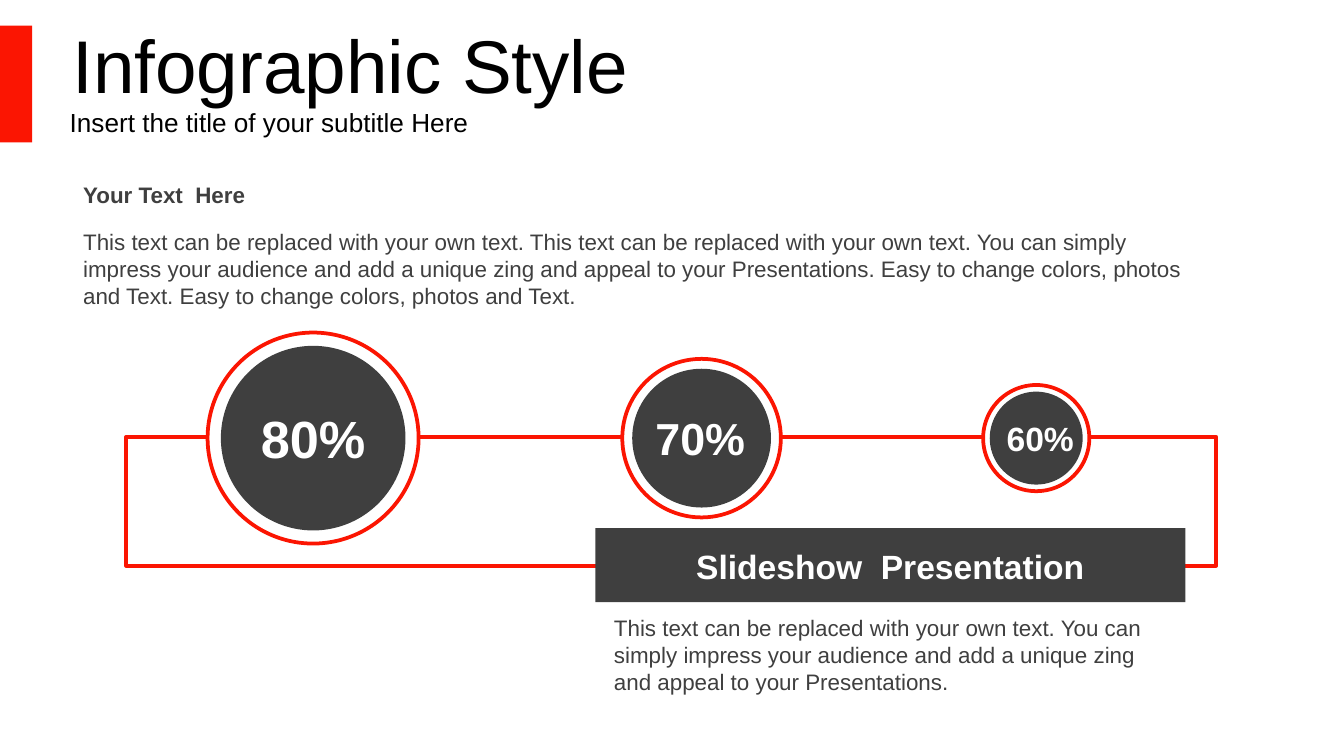
import pptx
import pptx.dml.color
import pptx.enum.shapes
import pptx.enum.text
import pptx.util

Inches = pptx.util.Inches
Pt = pptx.util.Pt
Shape = pptx.enum.shapes.MSO_SHAPE
Align = pptx.enum.text.PP_ALIGN
Anchor = pptx.enum.text.MSO_ANCHOR


def color(hex_code):
    return pptx.dml.color.RGBColor.from_string(hex_code)


def write(frame, text, size=12, ink="3F3F3F", bold=False, align=Align.LEFT,
          anchor=Anchor.TOP, inset=0.05):
    frame.word_wrap = True
    frame.vertical_anchor = anchor
    frame.margin_left = frame.margin_right = Inches(0.1)
    frame.margin_top = frame.margin_bottom = Inches(inset)
    paragraph = frame.paragraphs[0]
    paragraph.alignment = align
    run = paragraph.add_run()
    run.text = text
    run.font.name = "Arial"
    run.font.size = Pt(size)
    run.font.bold = bold
    run.font.color.rgb = color(ink)


class InfographicSlide:
    red = "FB1502"
    dark = "3F3F3F"
    white = "FFFFFF"
    black = "000000"
    outline_width = 2
    core_ratio = 0.875

    def __init__(self, deck):
        self.slide = deck.slides.add_slide(deck.slide_layouts[6])

    def shape(self, kind, left, top, width, height, fill=None, line=None):
        shape = self.slide.shapes.add_shape(
            kind, Inches(left), Inches(top), Inches(width), Inches(height))
        shape.shadow.inherit = False
        if fill:
            shape.fill.solid()
            shape.fill.fore_color.rgb = color(fill)
        else:
            shape.fill.background()
        if line:
            shape.line.color.rgb = color(line)
            shape.line.width = Pt(self.outline_width)
        else:
            shape.line.fill.background()

    def text(self, left, top, width, height, text, **style):
        box = self.slide.shapes.add_textbox(
            Inches(left), Inches(top), Inches(width), Inches(height))
        write(box.text_frame, text, **style)

    def circle(self, center_x, center_y, diameter, **style):
        self.shape(Shape.OVAL, center_x - diameter / 2, center_y - diameter / 2,
                   diameter, diameter, **style)

    def percentage(self, value, center_x, center_y, diameter, label_x,
                   label_width, label_height, size):
        self.circle(center_x, center_y, diameter, fill=self.white, line=self.red)
        self.circle(center_x, center_y, diameter * self.core_ratio, fill=self.dark)
        self.text(label_x - label_width / 2, center_y - label_height / 2,
                  label_width, label_height, value, size=size, ink=self.white,
                  bold=True, align=Align.CENTER, anchor=Anchor.MIDDLE)

    def banner(self, left, top, width, height, text):
        self.shape(Shape.RECTANGLE, left, top, width, height, fill=self.dark)
        self.text(left + 0.58, top + 0.08, width - 1.16, 0.4, text, size=18,
                  ink=self.white, bold=True, align=Align.CENTER)

    def heading(self, left, top, width, height, text, size):
        self.text(left, top, width, height, text, size=size, ink=self.black,
                  anchor=Anchor.MIDDLE, inset=0.1)


def main():
    deck = pptx.Presentation()
    deck.slide_width = Inches(10)
    deck.slide_height = deck.slide_width * 9 // 16
    page = InfographicSlide(deck)

    page.shape(Shape.RECTANGLE, 0, 0.19, 0.24, 0.87, fill=page.red)
    page.heading(0.44, 0.19, 7.85, 0.57, "Infographic Style", 40)
    page.heading(0.42, 0.76, 7.86, 0.29, "Insert the title of your subtitle Here", 14)

    page.text(0.52, 1.3, 8.41, 0.3, "Your Text  Here", bold=True)
    page.text(0.52, 1.65, 8.41, 0.71,
              "This text can be replaced with your own text. This text can be "
              "replaced with your own text. You can simply impress your audience "
              "and add a unique zing and appeal to your Presentations. Easy to "
              "change colors, photos and Text. Easy to change colors, photos and Text.")

    page.shape(Shape.RECTANGLE, 0.94, 3.25, 8.11, 0.96, line=page.red)
    percentages = [
        ("80%", 2.33, 1.57, 2.33, 1.26, 0.57, 28),
        ("70%", 5.22, 1.18, 5.21, 0.95, 0.5, 24),
        ("60%", 7.71, 0.79, 7.74, 0.79, 0.4, 18),
    ]
    for value, center_x, diameter, *label in percentages:
        page.percentage(value, center_x, 3.26, diameter, *label)

    page.banner(4.43, 3.93, 4.39, 0.55, "Slideshow  Presentation")
    page.text(4.47, 4.52, 4.37, 0.71,
              "This text can be replaced with your own text. You can simply "
              "impress your audience and add a unique zing and appeal to your "
              "Presentations.")

    deck.save("out.pptx")


if __name__ == "__main__":
    main()
